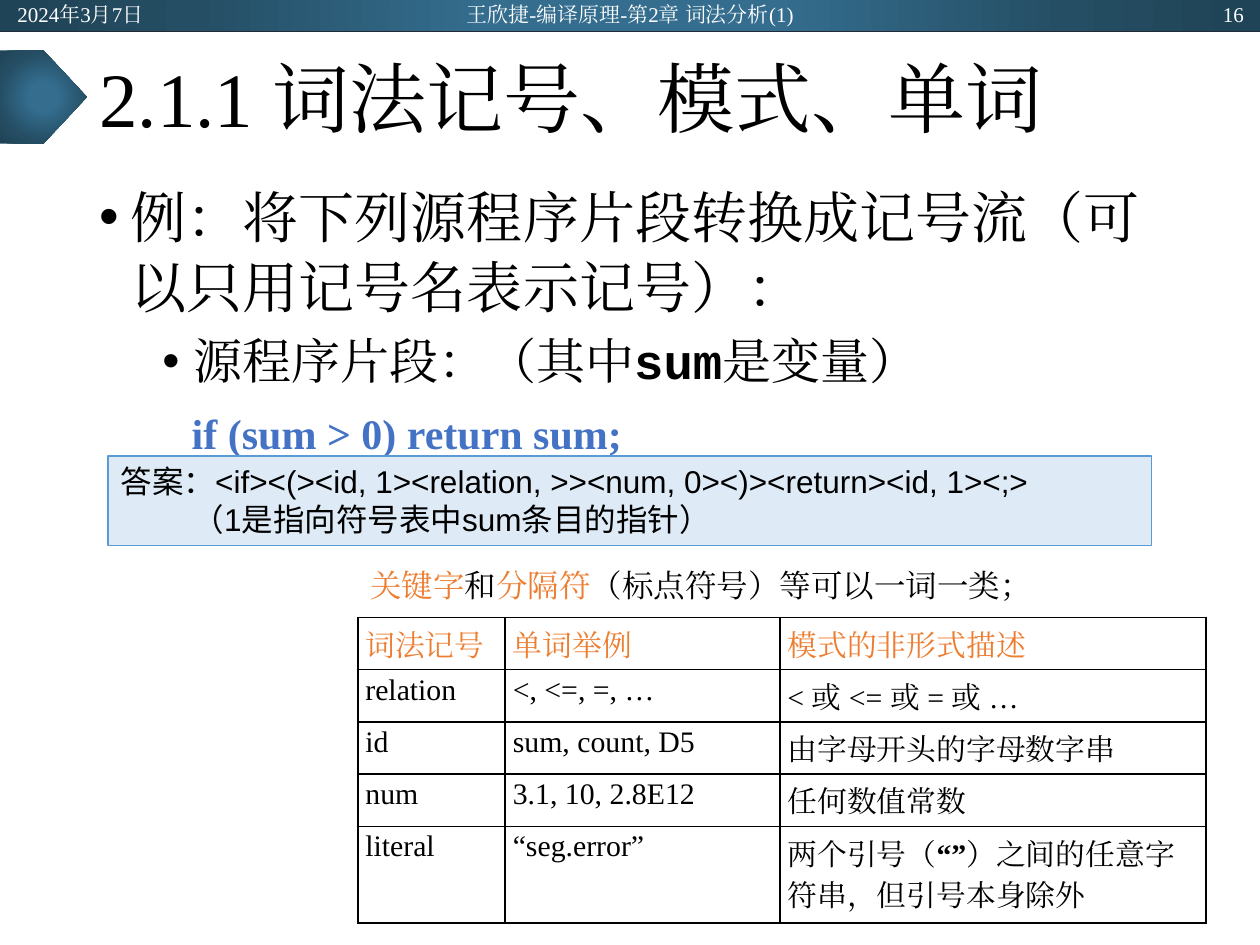
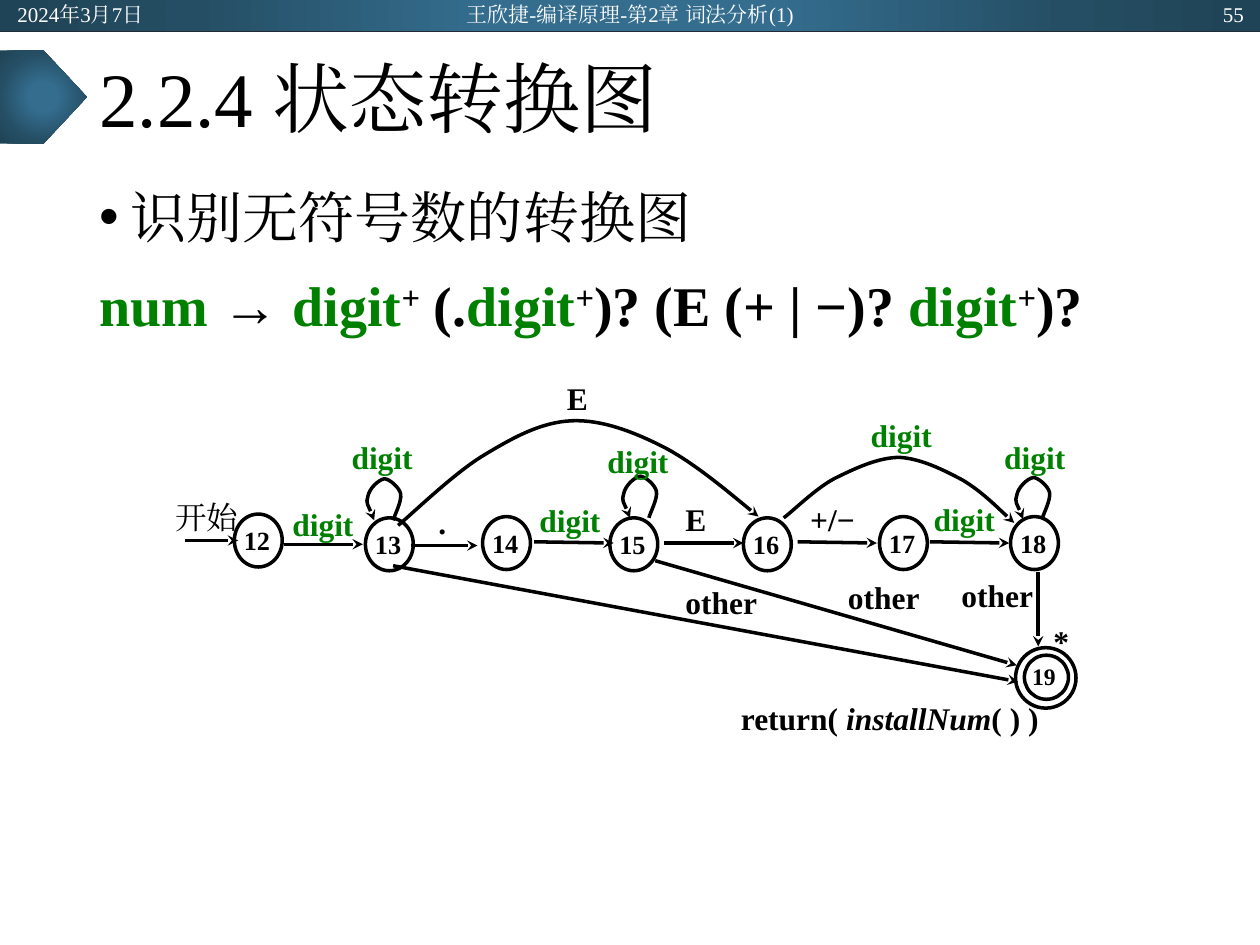
from dataclasses import dataclass

from lxml.etree import SubElement
from pptx import Presentation
from pptx.dml.color import RGBColor
from pptx.enum.shapes import MSO_CONNECTOR, MSO_SHAPE
from pptx.enum.text import MSO_ANCHOR, PP_ALIGN
from pptx.oxml import parse_xml
from pptx.oxml.ns import nsdecls, qn
from pptx.util import Pt

PX = 9144  # EMU in one px, 100 px to the inch


@dataclass(frozen=True)
class Theme:
    black: str = "000000"
    white: str = "FFFFFF"
    blue: str = "4472C4"
    orange: str = "ED7D31"
    green: str = "008000"
    pale: str = "DEEBF7"
    edge: str = "5B9BD5"
    rule: str = "222A35"
    glow: tuple = ((0, "346D8E"), (23, "346D8E"), (69, "254E64"), (97, "204457"))
    serif: str = "Times New Roman"
    sans: str = "Arial"
    mono: str = "Courier New"
    title: int = 44
    body: int = 32
    sub: int = 28
    code: int = 24
    note: int = 18
    grid: int = 17
    node: int = 15
    last: float = 13.5
    band: int = 12


T = Theme()


def rgb(code):
    return RGBColor.from_string(code)


def add_run(par, text, size=T.note, color=T.black, font=T.serif,
            bold=False, italic=False, base=0):
    run = par.add_run()
    run.text = text
    run.font.size = Pt(size)
    run.font.color.rgb = rgb(color)
    run.font.bold = bold
    run.font.italic = italic
    run.font.name = font
    props = run.font._element
    SubElement(props, qn("a:ea")).set("typeface", font)
    if base:
        props.set("baseline", str(base * 1000))


def put(frame, text, align=PP_ALIGN.LEFT, left=0, hang=0, gap=0, lead=1.0,
        bullet=None, **form):
    """Add a paragraph; text is a string or a list of (string, format) runs."""
    par = frame.paragraphs[0]
    if par.runs:
        par = frame.add_paragraph()
    par.alignment = align
    par.space_before = Pt(gap)
    par.line_spacing = lead
    props = par._p.get_or_add_pPr()
    props.set("marL", str(left * PX))
    props.set("indent", str(-hang * PX))
    if bullet:
        SubElement(props, qn("a:buFont")).set("typeface", T.sans)
        SubElement(props, qn("a:buChar")).set("char", bullet)
    runs = [(text, {})] if isinstance(text, str) else text
    for part, extra in runs:
        add_run(par, part, **{**form, **extra})


class Deck:
    def __init__(self):
        self.show = Presentation()
        self.show.slide_width = 1000 * PX
        self.show.slide_height = 750 * PX
        self.slide = None

    def frame(self, shape, pad, anchor=MSO_ANCHOR.TOP):
        frame = shape.text_frame
        frame.word_wrap = True
        frame.vertical_anchor = anchor
        (frame.margin_left, frame.margin_top,
         frame.margin_right, frame.margin_bottom) = (p * PX for p in pad)
        return frame

    def box(self, x, y, w, h, pad=(10, 5, 10, 5), anchor=MSO_ANCHOR.TOP):
        shape = self.slide.shapes.add_textbox(x * PX, y * PX, w * PX, h * PX)
        return self.frame(shape, pad, anchor)

    def shape(self, kind, x, y, w, h, fill=None, line=None, width=1):
        shape = self.slide.shapes.add_shape(kind, x * PX, y * PX, w * PX, h * PX)
        shape.shadow.inherit = False
        if fill:
            shape.fill.solid()
            shape.fill.fore_color.rgb = rgb(fill)
        else:
            shape.fill.background()
        if line:
            shape.line.color.rgb = rgb(line)
            shape.line.width = Pt(width)
        else:
            shape.line.fill.background()
        return shape

    def glow(self, kind, x, y, w, h):
        shape = self.shape(kind, x, y, w, h)
        stops = "".join(
            f'<a:gs pos="{pos * 1000}"><a:srgbClr val="{code}"/></a:gs>'
            for pos, code in T.glow)
        grad = parse_xml(
            f'<a:gradFill {nsdecls("a")}><a:gsLst>{stops}</a:gsLst>'
            '<a:path path="circle"><a:fillToRect l="50000" t="50000" '
            'r="50000" b="50000"/></a:path></a:gradFill>')
        props = shape._element.spPr
        props.replace(props.find(qn("a:noFill")), grad)

    def stroke(self, item, color=T.black, width=2, head=True):
        item.line.color.rgb = rgb(color)
        item.line.width = Pt(width)
        if head:
            line = item.line._get_or_add_ln()
            SubElement(line, qn("a:tailEnd")).set("type", "stealth")

    def line(self, x, y, to_x, to_y, **form):
        item = self.slide.shapes.add_connector(
            MSO_CONNECTOR.STRAIGHT, x * PX, y * PX, to_x * PX, to_y * PX)
        self.stroke(item, **form)
        SubElement(item._element.spPr, qn("a:effectLst"))

    def curve(self, start, *points):
        """Draw Bezier arcs; every three points are two handles and an end."""
        pen = self.slide.shapes.build_freeform(*start, scale=PX)
        pen.add_line_segments(points, close=False)
        item = pen.convert_to_shape()
        item.shadow.inherit = False
        item.fill.background()
        geom = item._element.xpath(".//a:path")[0]
        steps = geom.findall(qn("a:lnTo"))
        for i in range(0, len(steps), 3):
            arc = SubElement(geom, qn("a:cubicBezTo"))
            for step in steps[i:i + 3]:
                arc.append(step[0])
                geom.remove(step)
        self.stroke(item)

    def node(self, text, x, y, w=38, h=42, size=T.node, pad=(2, 2, 2, 4)):
        shape = self.shape(MSO_SHAPE.OVAL, x, y, w, h, line=T.black, width=2)
        if text:
            put(self.frame(shape, pad), text, size=size, bold=True)

    def label(self, text, x, y, w=66, bold=True, **form):
        put(self.box(x, y, w, 40, (4, 2, 4, 2)), text, bold=bold, **form)

    def table(self, x, y, cols, rows, data):
        table = self.slide.shapes.add_table(
            len(rows), len(cols), x * PX, y * PX,
            sum(cols) * PX, sum(rows) * PX).table
        for col, w in zip(table.columns, cols):
            col.width = w * PX
        for r, (row, h) in enumerate(zip(data, rows)):
            table.rows[r].height = h * PX
            for c, text in enumerate(row):
                self.cell(table.cell(r, c), text,
                          T.black if r else T.orange,
                          1.25 if r == 0 or c == 2 else 1.0)

    def cell(self, cell, text, color, lead):
        props = cell._tc.get_or_add_tcPr()
        for side in "LRTB":
            props.append(parse_xml(
                f'<a:ln{side} {nsdecls("a")} w="12700"><a:solidFill>'
                f'<a:srgbClr val="{T.black}"/></a:solidFill></a:ln{side}>'))
        cell.fill.background()
        cell.margin_left = cell.margin_right = 6 * PX
        cell.margin_top = cell.margin_bottom = 3 * PX
        put(cell.text_frame, text, size=T.grid, color=color, lead=lead)

    def page(self, title, number):
        """Start a slide with its band, marker, title and body box."""
        self.slide = self.show.slides.add_slide(self.show.slide_layouts[6])
        self.glow(MSO_SHAPE.RECTANGLE, 0, 0, 1000, 25)
        self.line(0, 25, 1000, 25, color=T.rule, width=0.5, head=False)
        self.glow(MSO_SHAPE.PENTAGON, 0, 40, 69, 74)
        mid = MSO_ANCHOR.MIDDLE
        for text, x, w, align in (
                ("2024年3月7日", 4, 225, PP_ALIGN.LEFT),
                ("王欣捷-编译原理-第2章 词法分析(1)", 331, 338, PP_ALIGN.CENTER),
                (number, 772, 225, PP_ALIGN.RIGHT)):
            put(self.box(x, 1, w, 20, anchor=mid), text, align,
                size=T.band, color=T.white)
        put(self.box(69, 25, 862, 104, anchor=mid), title, size=T.title)
        return self.box(69, 138, 862, 538)


def tokens(deck):
    body = deck.page("2.1.1 词法记号、模式、单词", "16")
    put(body, "例：将下列源程序片段转换成记号流（可以只用记号名表示记号）：",
        left=25, hang=25, gap=10, lead=1.04, bullet="•", size=T.body)
    sub = dict(left=75, hang=25, gap=5, lead=1.04, size=T.sub)
    mono = dict(font=T.mono, bold=True)
    put(body, [("源程序片段：（其中", {}), ("sum", mono), ("是变量）", {})],
        bullet="•", **sub)
    put(body, [(" ", mono), ("if (sum > 0) return sum;",
                             dict(size=T.code, color=T.blue, bold=True))], **sub)

    # Answer
    rect = deck.shape(MSO_SHAPE.RECTANGLE, 86, 362, 828, 71, T.pale, T.edge)
    answer = deck.frame(rect, (10, 5, 10, 5))
    put(answer, "答案：<if><(><id, 1><relation, >><num, 0><)><return><id, 1><;>",
        font=T.sans)
    put(answer, "（1是指向符号表中sum条目的指针）", left=57, font=T.sans)

    # Token classes
    hot = dict(color=T.orange)
    put(deck.box(284, 448, 600, 37),
        [("关键字", hot), ("和", {}), ("分隔符", hot),
         ("（标点符号）等可以一词一类；", {})], lead=0.9)
    deck.table(284, 490, (117, 218, 338), (41, 41, 41, 41, 74), (
        ("词法记号", "单词举例", "模式的非形式描述"),
        ("relation", "<, <=, =, …", "< 或 <= 或 = 或 …"),
        ("id", "sum, count, D5", "由字母开头的字母数字串"),
        ("num", "3.1, 10, 2.8E12", "任何数值常数"),
        ("literal", "“seg.error”",
         [("两个引号（", {}), ("“”", dict(bold=True)),
          ("）之间的任意字符串，但引号本身除外", {})])))


def states(deck):
    body = deck.page("2.2.4 状态转换图", "55")
    item = dict(left=25, hang=25, gap=10, lead=1.04, size=T.body)
    put(body, "识别无符号数的转换图", bullet="•", **item)
    green = dict(color=T.green)
    digits = [("digit", green), ("+", dict(base=30))]
    put(body, [("num ", green), ("→ ", {}), *digits, (" (.", {}), *digits,
               (")? (E (+ | −)? ", {}), *digits, (")?", {})], bold=True, **item)

    # States
    spots = ((186, 408), (290, 411), (383, 410), (484, 411),
             (590, 411), (698, 410), (802, 410))
    for num, (x, y) in enumerate(spots, 12):
        deck.node(str(num), x, y)
    deck.node("", 806, 514, 48, 48)
    deck.node("19", 813, 520, 35, 35, T.last, (1, 0, 1, 0))

    # Straight moves
    for ends in ((147, 429, 189, 429), (225, 432, 288, 432),
                 (326, 433, 379, 433), (424, 430, 487, 431),
                 (527, 431, 590, 431), (633, 430, 696, 431),
                 (738, 430, 801, 431), (824, 454, 824, 513),
                 (520, 445, 807, 528), (312, 449, 808, 541)):
        deck.line(*ends)

    # Self loops
    loop = ((1, -4), (7, -15), (6, -21), (5, -26), (-3, -33), (-7, -33),
            (-12, -32), (-19, -25), (-20, -19), (-22, -14), (-16, -4), (-15, 0))
    for x, y in ((312, 413), (515, 411), (827, 412)):
        deck.curve((x, y), *((x + dx, y + dy) for dx, dy in loop))

    # Long arcs
    deck.curve((316, 417), (327, 408), (360, 376), (383, 362),
               (406, 348), (429, 335), (454, 334), (478, 333), (504, 343),
               (529, 356), (553, 369), (587, 398), (602, 410))
    deck.curve((622, 411), (629, 406), (647, 388), (662, 380),
               (678, 372), (697, 363), (714, 363), (731, 364), (749, 373),
               (764, 381), (779, 390), (797, 408), (805, 415))

    # Labels
    for x, y in ((228, 399), (275, 346), (424, 396), (478, 349),
                 (737, 395), (793, 346), (687, 328)):
        deck.label("digit", x, y, color=T.green)
    for x, y in ((759, 455), (669, 457), (540, 461)):
        deck.label("other", x, y, 80)
    for text, x, y in ((".", 344, 397), ("E", 540, 395), ("E", 446, 299),
                       ("+/−", 639, 395), ("*", 832, 492)):
        deck.label(text, x, y)
    deck.label("开始", 135, 393, bold=False)
    deck.label([("return( ", {}), ("installNum", dict(italic=True)),
                ("( ) )", {})], 584, 553, 260)


def main():
    deck = Deck()
    tokens(deck)
    states(deck)
    deck.show.save("out.pptx")


if __name__ == "__main__":
    main()
